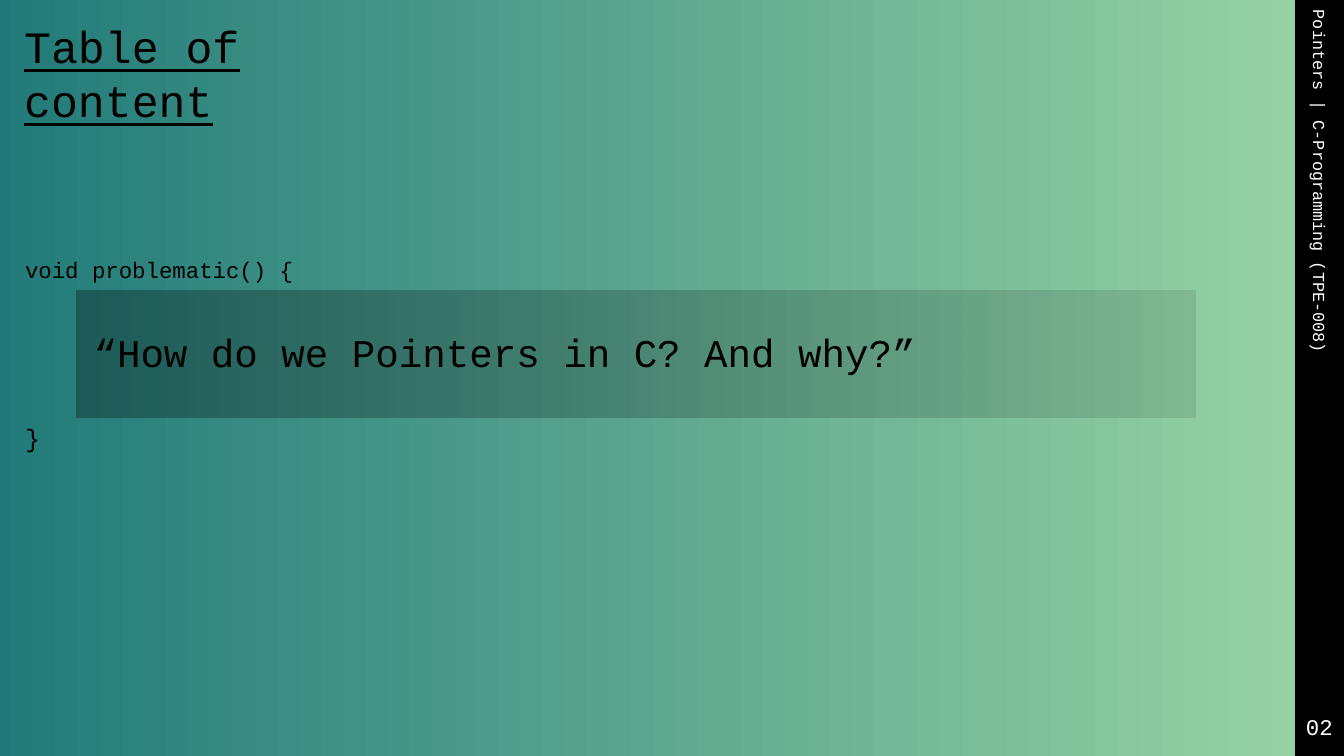
"""Builds the table of content slide of a lecture on pointers in C."""
from lxml.etree import SubElement
from pptx import Presentation
from pptx.dml.color import RGBColor
from pptx.enum.shapes import MSO_SHAPE
from pptx.enum.text import MSO_ANCHOR, MSO_AUTO_SIZE, PP_ALIGN
from pptx.oxml.ns import qn
from pptx.util import Inches, Pt

FONT = "Courier New"
BLACK = RGBColor(0x00, 0x00, 0x00)
WHITE = RGBColor(0xFF, 0xFF, 0xFF)
TEAL = RGBColor(0x21, 0x7A, 0x79)
MINT = RGBColor(0x96, 0xD2, 0xA4)


def add_panel(page, left, top, width, height):
    panel = page.shapes.add_shape(
        MSO_SHAPE.RECTANGLE, Inches(left), Inches(top), Inches(width), Inches(height)
    )
    panel.shadow.inherit = False
    panel.line.fill.background()
    return panel


def fill_gradient(panel, colors, opacities=()):
    panel.fill.gradient()
    panel.fill.gradient_angle = 0
    for stop, color in zip(panel.fill.gradient_stops, colors):
        stop.color.rgb = color
    for color_element, percent in zip(panel.element.iter(qn("a:srgbClr")), opacities):
        SubElement(color_element, qn("a:alpha")).set("val", str(percent * 1000))


def write_text(box, text, size, color=BLACK, align=PP_ALIGN.LEFT,
               anchor=MSO_ANCHOR.TOP, underline=None):
    frame = box.text_frame
    frame.word_wrap = True
    frame.auto_size = MSO_AUTO_SIZE.NONE
    frame.vertical_anchor = anchor
    para = frame.paragraphs[0]
    para.alignment = align
    span = para.add_run()
    span.text = text
    span.font.name = FONT
    span.font.size = Pt(size)
    span.font.color.rgb = color
    span.font.underline = underline


def add_label(page, text, left, top, width, height, size, **style):
    box = page.shapes.add_textbox(Inches(left), Inches(top), Inches(width), Inches(height))
    write_text(box, text, size, **style)
    return box


def place_title(page, text):
    title = page.shapes.title
    title.left, title.top = Inches(0.14), Inches(0.14)
    title.width, title.height = Inches(4.41), Inches(1.18)
    write_text(title, text, 32, underline=True)
    title.element.getparent().append(title.element)


def main():
    deck = Presentation()
    deck.slide_width, deck.slide_height = Inches(13.33), Inches(7.5)
    page = deck.slides.add_slide(deck.slide_layouts[5])

    sidebar = add_panel(page, 12.84, 0, 0.49, 7.5)
    sidebar.fill.solid()
    sidebar.fill.fore_color.rgb = BLACK
    add_label(page, "02", 12.84, 7.01, 0.49, 0.4, 16, color=WHITE,
              align=PP_ALIGN.CENTER, anchor=MSO_ANCHOR.MIDDLE)

    fill_gradient(add_panel(page, -0.11, 0, 12.95, 7.5), (TEAL, MINT))
    place_title(page, "Table of content")

    fill_gradient(add_panel(page, 0.76, 2.88, 11.1, 1.26), (BLACK, BLACK), (30, 10))
    add_label(page, "void problematic() {", 0.15, 2.49, 2.92, 0.37, 16)
    add_label(page, "“How do we Pointers in C? And why?”", 0.83, 3.21, 10.97, 0.57, 28)
    add_label(page, "}", 0.15, 4.14, 0.43, 0.4, 18)

    course = add_label(page, "Pointers | C-Programming (TPE-008)",
                       11.11, 1.83, 3.96, 0.3, 12, color=WHITE)
    course.rotation = 90

    deck.save("out.pptx")


if __name__ == "__main__":
    main()
